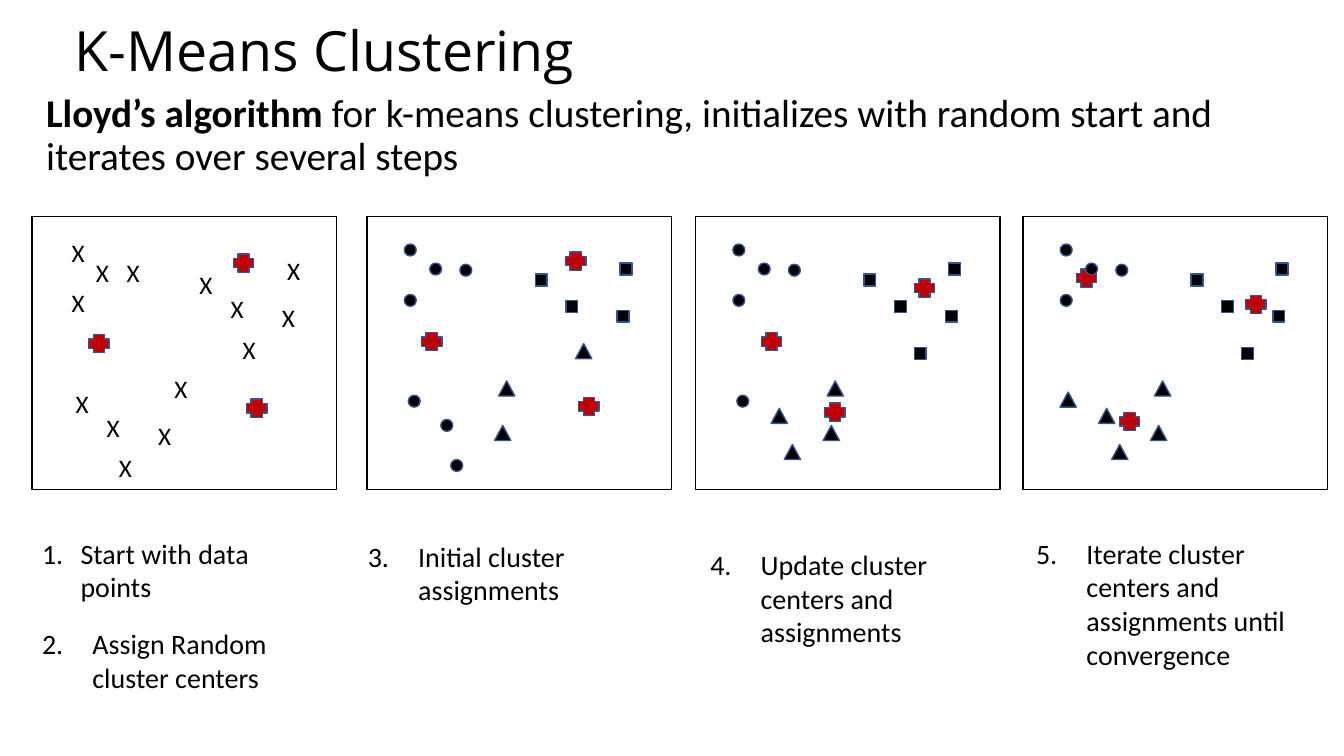
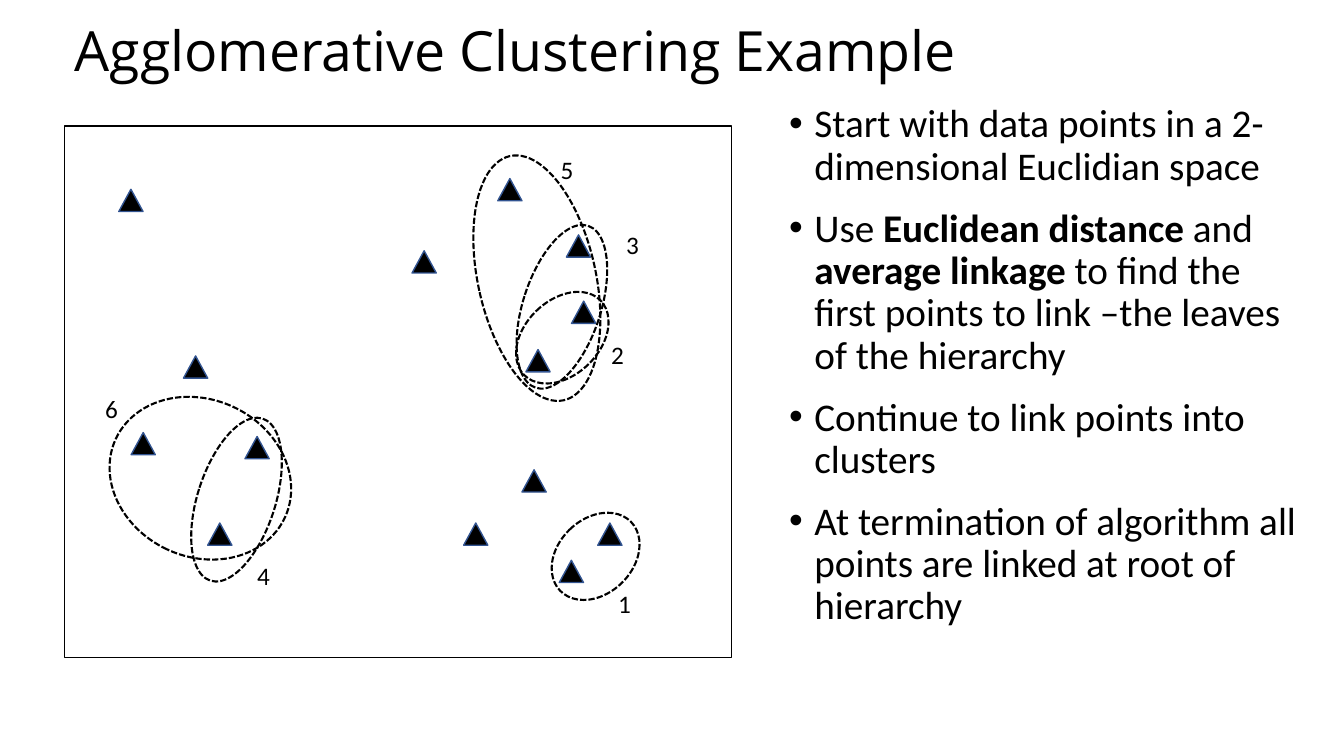
import dataclasses

import pptx
import pptx.dml.color
import pptx.enum.dml
import pptx.enum.shapes
import pptx.enum.text
import pptx.oxml
import pptx.oxml.ns
import pptx.util

Cm = pptx.util.Cm
Pt = pptx.util.Pt
ALIGN = pptx.enum.text.PP_ALIGN
ANCHOR = pptx.enum.text.MSO_ANCHOR
SHAPE = pptx.enum.shapes.MSO_SHAPE


@dataclasses.dataclass(frozen=True)
class Theme:
    ink: str = "000000"
    center: str = "C00000"
    marker_line: str = "325491"
    title_font: str = "Open Sans"
    body_font: str = "Calibri"
    title_size: float = 39.6
    body_size: int = 28
    caption_size: int = 20
    label_size: int = 18


THEME = Theme()

# Lengths are centimetres. Marker positions are centres.
SLIDE_SIZE = (33.87, 19.05)
TITLE_PLACE = (1.63, 0.61, 29.21, 1.47)

# Slide 1: marker positions are measured from the corner of their panel
KMEANS_TITLE = "K-Means Clustering"
KMEANS_INTRO = [[
    ("Lloyd’s algorithm ", True),
    ("for k-means clustering, initializes with random start and iterates over several steps", False),
]]
INTRO_PLACE = (0.91, 2.24, 32, 2.49)
PANEL_TOP, PANEL_SIZE = 5.46, (7.67, 6.88)

RAW_POINTS = [
    (1.16, 0.89), (1.77, 1.4), (2.55, 1.4), (1.16, 2.16), (4.38, 1.7), (6.59, 1.35), (5.17, 2.31),
    (6.46, 2.54), (5.47, 3.35), (1.26, 4.7), (3.75, 4.34), (2.04, 5.31), (3.34, 5.51), (2.35, 6.32),
]
CIRCLES = [(1.09, 0.84), (1.73, 1.32), (2.49, 1.35), (1.09, 2.11)]
SQUARES = [(4.39, 1.6), (5.16, 2.26), (6.53, 1.32), (6.45, 2.51)]
TRIANGLES = [(3.52, 4.33), (3.42, 5.45)]
LOW_CIRCLE = (1.19, 4.65)
UPDATED_SQUARES = SQUARES + [(5.66, 3.45)]
UPDATED_TRIANGLES = TRIANGLES + [(2.11, 5.02), (2.44, 5.93)]

PANELS = [
    {"left": 0.81, "raw": RAW_POINTS,
     "center": [(1.68, 3.2), (5.66, 4.83), (5.33, 1.17)]},
    {"left": 9.25,
     "center": [(1.63, 3.15), (5.59, 4.78), (5.26, 1.12)],
     "circle": CIRCLES + [LOW_CIRCLE, (2.01, 5.26), (2.26, 6.27)],
     "square": SQUARES,
     "triangle": TRIANGLES + [(5.46, 3.39)]},
    {"left": 17.53,
     "center": [(1.91, 3.15), (3.51, 4.93), (5.77, 1.8)],
     "circle": CIRCLES + [LOW_CIRCLE],
     "square": UPDATED_SQUARES,
     "triangle": UPDATED_TRIANGLES},
    {"left": 25.78,
     "center": [(1.6, 1.55), (2.69, 5.16), (5.87, 2.21)],
     "circle": CIRCLES,
     "square": UPDATED_SQUARES,
     "triangle": UPDATED_TRIANGLES + [(1.14, 4.61)]},
]
# Text, left, top, hanging indent; numbered in this order
STEPS = [
    ("Start with data points", 0.81, 13.39, 0.97),
    ("Assign Random cluster centers", 0.81, 15.67, 1.27),
    ("Initial cluster assignments", 9.02, 13.46, 1.27),
    ("Update cluster centers and assignments", 17.65, 13.67, 1.27),
    ("Iterate cluster centers and assignments until convergence", 25.86, 13.39, 1.27),
]
STEP_SIZE = (7.3, 2)

# Slide 2
LINKAGE_TITLE = "Agglomerative Clustering Example"
LINKAGE_BULLETS = [
    [("Start with data points in a 2-dimensional Euclidian space", False)],
    [("Use ", False), ("Euclidean distance ", True), ("and ", False), ("average linkage ", True),
     ("to find the first points to link –the leaves of the hierarchy", False)],
    [("Continue to link points into clusters", False)],
    [("At termination of algorithm all points are linked at root of hierarchy", False)],
]
BULLETS_PLACE = (19.63, 2.49, 13.31, 15.57)
SPACE_FRAME = (1.63, 3.18, 16.81, 13.39)
SPACE_POINTS = [
    (10.69, 6.6), (3.3, 5.05), (12.85, 4.78), (6.48, 11.28), (11.99, 13.46), (14.58, 6.2), (13.56, 9.09),
    (13.46, 12.12), (15.37, 13.46), (4.93, 9.25), (3.61, 11.18), (5.54, 13.46), (14.71, 7.87), (14.4, 14.4),
]
# Centre, size, rotation, centre of the number; numbered in linking order
LINKS = [
    ((15.01, 14.02), (1.88, 2.49), 45.8, (15.74, 15.21)),
    ((14.17, 8.51), (1.88, 2.69), 45.8, (15.56, 8.94)),
    ((14.16, 7.73), (1.96, 4.29), 17.9, (15.94, 6.15)),
    ((5.96, 12.59), (1.96, 4.29), 17.9, (6.64, 14.5)),
    ((13.53, 7.01), (2.97, 6.3), 347.6, (14.29, 4.27)),
    ((5.05, 12.05), (3.96, 4.7), 295, (2.81, 10.29)),
]

# Preset, size, fill
MARKERS = {
    "center": (SHAPE.CROSS, (0.51, 0.46), THEME.center),
    "circle": (SHAPE.OVAL, (0.3, 0.3), THEME.ink),
    "square": (SHAPE.RECTANGLE, (0.3, 0.3), THEME.ink),
    "triangle": (SHAPE.ISOSCELES_TRIANGLE, (0.41, 0.38), THEME.ink),
    "large triangle": (SHAPE.ISOSCELES_TRIANGLE, (0.61, 0.56), THEME.ink),
}
LABEL_SIZE = (1.35, 1.02)


def rgb(color):
    return pptx.dml.color.RGBColor.from_string(color)


def lengths(place):
    return [Cm(value) for value in place]


def centered(center, size):
    """Turn a centre and a size into left, top, width, height."""
    return (center[0] - size[0] / 2, center[1] - size[1] / 2, *size)


def set_list_mark(para, hanging, tag, **attributes):
    properties = para._p.get_or_add_pPr()
    properties.set("marL", str(Cm(hanging)))
    properties.set("indent", str(-Cm(hanging)))
    if tag == "buChar":
        font = pptx.oxml.parse_xml(f'<a:buFont {pptx.oxml.ns.nsdecls("a")} typeface="Arial"/>')
        properties.append(font)
    values = " ".join(f'{name}="{value}"' for name, value in attributes.items())
    properties.append(pptx.oxml.parse_xml(f'<a:{tag} {pptx.oxml.ns.nsdecls("a")} {values}/>'))


def write(box, paragraphs, *, size, font=THEME.body_font, align=ALIGN.LEFT, anchor=ANCHOR.TOP,
          spacing=1.0, before=0, inset=None, hanging=0, mark=("buNone", {})):
    """Fill a box with paragraphs, each a list of (text, bold) spans."""
    frame = box.text_frame
    frame.word_wrap = True
    frame.auto_size = pptx.enum.text.MSO_AUTO_SIZE.NONE
    frame.vertical_anchor = anchor
    if inset is not None:
        frame.margin_left = frame.margin_right = frame.margin_top = frame.margin_bottom = Cm(inset)
    for index, spans in enumerate(paragraphs):
        para = frame.add_paragraph() if index else frame.paragraphs[0]
        para.alignment = align
        para.line_spacing = spacing
        para.space_before = Pt(before)
        set_list_mark(para, hanging, mark[0], **mark[1])
        for text, bold in spans:
            span = para.add_run()
            span.text = text
            span.font.name = font
            span.font.size = Pt(size)
            span.font.bold = bold
            span.font.color.rgb = rgb(THEME.ink)


def add_text(page, place, text, **formats):
    write(page.shapes.add_textbox(*lengths(place)), [[(text, False)]], **formats)


def add_label(page, center, text):
    add_text(page, centered(center, LABEL_SIZE), text, size=THEME.label_size,
             align=ALIGN.CENTER, anchor=ANCHOR.MIDDLE, inset=0)


def add_shape(page, preset, place, fill=None, line=THEME.ink, width=1):
    shape = page.shapes.add_shape(preset, *lengths(place))
    shape.shadow.inherit = False
    if fill:
        shape.fill.solid()
        shape.fill.fore_color.rgb = rgb(fill)
    else:
        shape.fill.background()
    shape.line.color.rgb = rgb(line)
    shape.line.width = Pt(width)
    return shape


def add_markers(page, kind, centers, origin=(0, 0)):
    preset, size, fill = MARKERS[kind]
    for x, y in centers:
        place = centered((origin[0] + x, origin[1] + y), size)
        add_shape(page, preset, place, fill, THEME.marker_line)


def add_page(deck, title, body, body_place, **body_format):
    page = deck.slides.add_slide(deck.slide_layouts[1])
    heading, content = page.placeholders
    for box, place in ((heading, TITLE_PLACE), (content, body_place)):
        box.left, box.top, box.width, box.height = lengths(place)
    write(heading, [[(title, False)]], size=THEME.title_size, font=THEME.title_font,
          anchor=ANCHOR.MIDDLE, spacing=0.9)
    write(content, body, size=THEME.body_size, spacing=0.9, before=14, **body_format)
    return page


def build_kmeans(deck):
    page = add_page(deck, KMEANS_TITLE, KMEANS_INTRO, INTRO_PLACE)
    for panel in PANELS:
        origin = (panel["left"], PANEL_TOP)
        add_shape(page, SHAPE.RECTANGLE, (*origin, *PANEL_SIZE))
        for x, y in panel.get("raw", []):
            add_label(page, (origin[0] + x, origin[1] + y), "X")
        for kind in ("center", "circle", "square", "triangle"):
            add_markers(page, kind, panel.get(kind, []), origin)
    for number, (text, left, top, hanging) in enumerate(STEPS, 1):
        add_text(page, (left, top, *STEP_SIZE), text, size=THEME.caption_size, hanging=hanging,
                 mark=("buAutoNum", {"type": "arabicPeriod", "startAt": number}))


def build_linkage(deck):
    page = add_page(deck, LINKAGE_TITLE, LINKAGE_BULLETS, BULLETS_PLACE,
                    hanging=0.64, mark=("buChar", {"char": "•"}))
    add_shape(page, SHAPE.RECTANGLE, SPACE_FRAME)
    add_markers(page, "large triangle", SPACE_POINTS)
    for number, (center, size, rotation, label_center) in enumerate(LINKS, 1):
        ring = add_shape(page, SHAPE.OVAL, centered(center, size), width=1.5)
        ring.rotation = rotation
        ring.line.dash_style = pptx.enum.dml.MSO_LINE.SQUARE_DOT
        add_label(page, label_center, str(number))


def main():
    deck = pptx.Presentation()
    deck.slide_width, deck.slide_height = lengths(SLIDE_SIZE)
    build_kmeans(deck)
    build_linkage(deck)
    deck.save("out.pptx")


if __name__ == "__main__":
    main()
